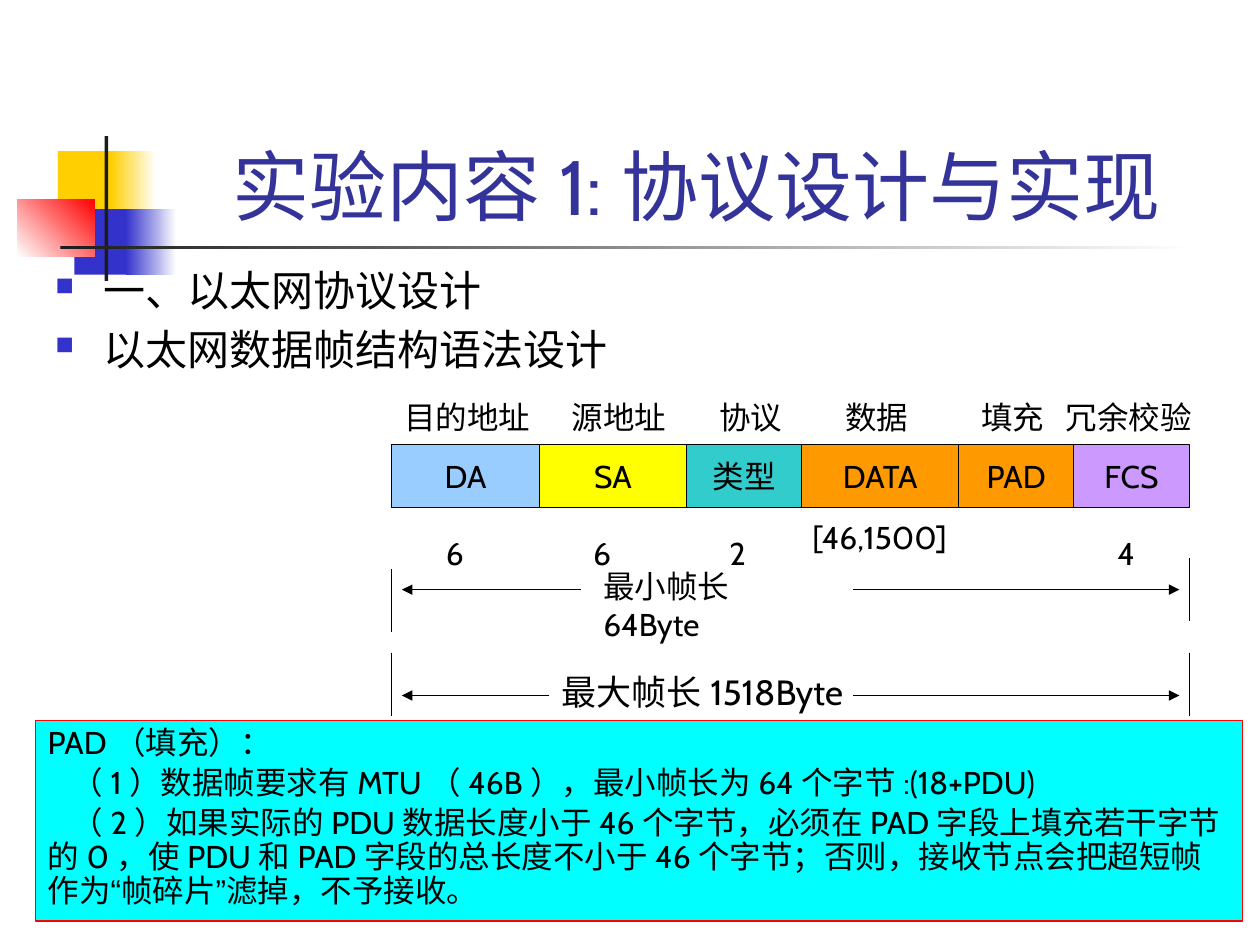
from lxml.etree import SubElement
from pptx import Presentation
from pptx.dml.color import RGBColor
from pptx.enum.shapes import MSO_CONNECTOR, MSO_SHAPE
from pptx.enum.text import MSO_ANCHOR, PP_ALIGN
from pptx.oxml.ns import qn
from pptx.util import Inches, Pt

COLORS = {
    "black": "000000", "white": "FFFFFF", "ink": "1C1C1C", "title": "333399",
    "gold": "FFCF01", "blue": "3333CC", "red": "FF0000", "cyan": "00FFFF",
    "sky": "99CCFF", "yellow": "FFFF00", "teal": "33CCCC",
    "orange": "FF9900", "violet": "CC99FF",
}
LATIN, CHINESE = "Cabin", "Noto Sans CJK SC"


def format_run(run, size, color="black", font=LATIN):
    run.font.size = Pt(size)
    run.font.name = font
    run.font.color.rgb = RGBColor.from_string(COLORS[color])
    SubElement(run.font._element, qn("a:ea"), typeface=font)


def add_box(left, top, width, height, fill, line=None):
    shape = slide.shapes.add_shape(MSO_SHAPE.RECTANGLE, Inches(left), Inches(top),
                                   Inches(width), Inches(height))
    shape.shadow.inherit = False
    if isinstance(fill, tuple):
        start, end, angle = fill
        shape.fill.gradient()
        shape.fill.gradient_angle = angle
        for stop, name, position in zip(shape.fill.gradient_stops, (start, end), (0, 1)):
            stop.color.rgb = RGBColor.from_string(COLORS[name])
            stop.position = position
    else:
        shape.fill.solid()
        shape.fill.fore_color.rgb = RGBColor.from_string(COLORS[fill])
    if line:
        shape.line.color.rgb = RGBColor.from_string(COLORS[line])
        shape.line.width = Pt(0.75)
    else:
        shape.line.fill.background()
    return shape


presentation = Presentation()
presentation.slide_width, presentation.slide_height = Inches(10), Inches(7.5)
slide = presentation.slides.add_slide(presentation.slide_layouts[6])

# Corner decoration and title rule
for decoration in [
    (0.46, 1.2, 0.48, 0.52, "gold"),
    (0.88, 1.2, 0.36, 0.52, ("gold", "white", 0)),
    (0.59, 1.66, 0.46, 0.52, "blue"),
    (1, 1.66, 0.4, 0.52, ("blue", "white", 0)),
    (0.14, 1.58, 0.61, 0.46, ("white", "red", 45)),
    (0.83, 1.08, 0.03, 1.15, "ink"),
    (0.48, 1.95, 9, 0.03, ("ink", "white", 0)),
]:
    add_box(*decoration)

# Title
title = slide.shapes.add_textbox(Inches(1.75), Inches(0.75), Inches(7.75), Inches(1.13))
title.text_frame.word_wrap = True
title.text_frame.vertical_anchor = MSO_ANCHOR.BOTTOM
for text, font in [("实验内容1:", LATIN), ("协议设计与实现", CHINESE)]:
    run = title.text_frame.paragraphs[0].add_run()
    run.text = text
    format_run(run, 44, "title", font)

# Bulleted headings
headings = slide.shapes.add_textbox(Inches(0.34), Inches(2.05), Inches(9.29), Inches(1.18))
headings.text_frame.word_wrap = True
headings.text_frame.text = "一、以太网协议设计\n以太网数据帧结构语法设计"
for paragraph in headings.text_frame.paragraphs:
    paragraph.space_before = Pt(4.8)
    paragraph.line_spacing = 1.0
    format_run(paragraph.runs[0], 24, font=CHINESE)
    properties = paragraph._p.get_or_add_pPr()
    properties.set("marL", str(Inches(0.38)))
    properties.set("indent", str(Inches(-0.38)))
    bullet_color = SubElement(properties, qn("a:buClr"))
    SubElement(bullet_color, qn("a:srgbClr"), val=COLORS["blue"])
    SubElement(properties, qn("a:buSzPct"), val="60000")
    SubElement(properties, qn("a:buChar"), char="■")

# Frame fields, laid side by side
left = 3.11
for name, width, fill in [
    ("DA", 1.17, "sky"), ("SA", 1.17, "yellow"), ("类型", 0.91, "teal"),
    ("DATA", 1.25, "orange"), ("PAD", 0.91, "orange"), ("FCS", 0.92, "violet"),
]:
    field = add_box(left, 3.53, width, 0.5, fill, "black")
    field.text_frame.word_wrap = False
    field.text_frame.vertical_anchor = MSO_ANCHOR.MIDDLE
    field.text_frame.text = name
    field.text_frame.paragraphs[0].alignment = PP_ALIGN.CENTER
    format_run(field.text_frame.paragraphs[0].runs[0], 18)
    left += width

# Field names, byte counts and frame lengths
for text, left, top, width, height, size in [
    ("目的地址", 3.11, 3.11, 1.2, 0.4, 18),
    ("源地址", 4.44, 3.11, 0.95, 0.4, 18),
    ("协议", 5.61, 3.11, 0.7, 0.4, 18),
    ("数据", 6.61, 3.11, 0.7, 0.4, 18),
    ("填充", 7.69, 3.11, 0.78, 0.4, 18),
    ("冗余校验", 8.36, 3.11, 1.28, 0.4, 18),
    ("6", 3.44, 4.19, 0.37, 0.5, 18),
    ("6", 4.61, 4.19, 0.37, 0.5, 18),
    ("2", 5.69, 4.19, 0.37, 0.5, 18),
    ("[46,1500]", 6.35, 4.06, 1.33, 0.4, 18),
    ("4", 8.77, 4.19, 0.37, 0.5, 18),
    ("最小帧长64Byte", 4.69, 4.45, 1.96, 0.4, 18),
    ("最大帧长1518Byte", 4.36, 5.27, 2.46, 0.43, 20),
]:
    label = slide.shapes.add_textbox(Inches(left), Inches(top), Inches(width), Inches(height))
    label.text_frame.word_wrap = size == 18
    label.text_frame.text = text
    format_run(label.text_frame.paragraphs[0].runs[0], size)

# Dimension ticks and arrows
for start_x, start_y, end_x, end_y, has_arrow in [
    (3.11, 4.52, 3.11, 5.02, False), (9.44, 4.43, 9.44, 4.93, False),
    (3.11, 5.18, 3.11, 5.68, False), (9.44, 5.18, 9.44, 5.68, False),
    (4.61, 4.68, 3.19, 4.68, True), (6.77, 4.68, 9.36, 4.68, True),
    (4.36, 5.52, 3.19, 5.52, True), (6.77, 5.52, 9.36, 5.52, True),
]:
    connector = slide.shapes.add_connector(
        MSO_CONNECTOR.STRAIGHT, Inches(start_x), Inches(start_y), Inches(end_x), Inches(end_y))
    connector.line.color.rgb = RGBColor.from_string(COLORS["black"])
    connector.line.width = Pt(0.75)
    if has_arrow:
        SubElement(connector.line._get_or_add_ln(), qn("a:tailEnd"), type="triangle")
    SubElement(connector._element.spPr, qn("a:effectLst"))

# Padding note
note = add_box(0.28, 5.72, 9.58, 1.59, "cyan", "red")
note.text_frame.word_wrap = True
note.text_frame.vertical_anchor = MSO_ANCHOR.TOP
note_paragraphs = [
    ["PAD（填充）："],
    ["（1）数据帧要求有MTU（46B），最小帧长为64个字节:(18+PDU)"],
    ["（2）如果实际的PDU数据长度小于46个字节，必须在PAD字段上填充若干字节的0，"
     "使PDU和PAD字段的总长度不小于46个字节；否则，接收节点会把超短帧作为",
     "“", "帧碎片", "”", "滤掉，不予接收。"],
]
for index, pieces in enumerate(note_paragraphs):
    paragraph = note.text_frame.add_paragraph() if index else note.text_frame.paragraphs[0]
    paragraph.alignment = PP_ALIGN.LEFT
    paragraph.line_spacing = 0.9
    paragraph.space_before = Pt(3.6)
    if index:
        paragraph._p.get_or_add_pPr().set("indent", str(Inches(0.19)))
    for piece in pieces:
        run = paragraph.add_run()
        run.text = piece
        format_run(run, 18, font="Arial" if piece in "“”" else LATIN)

presentation.save("out.pptx")
